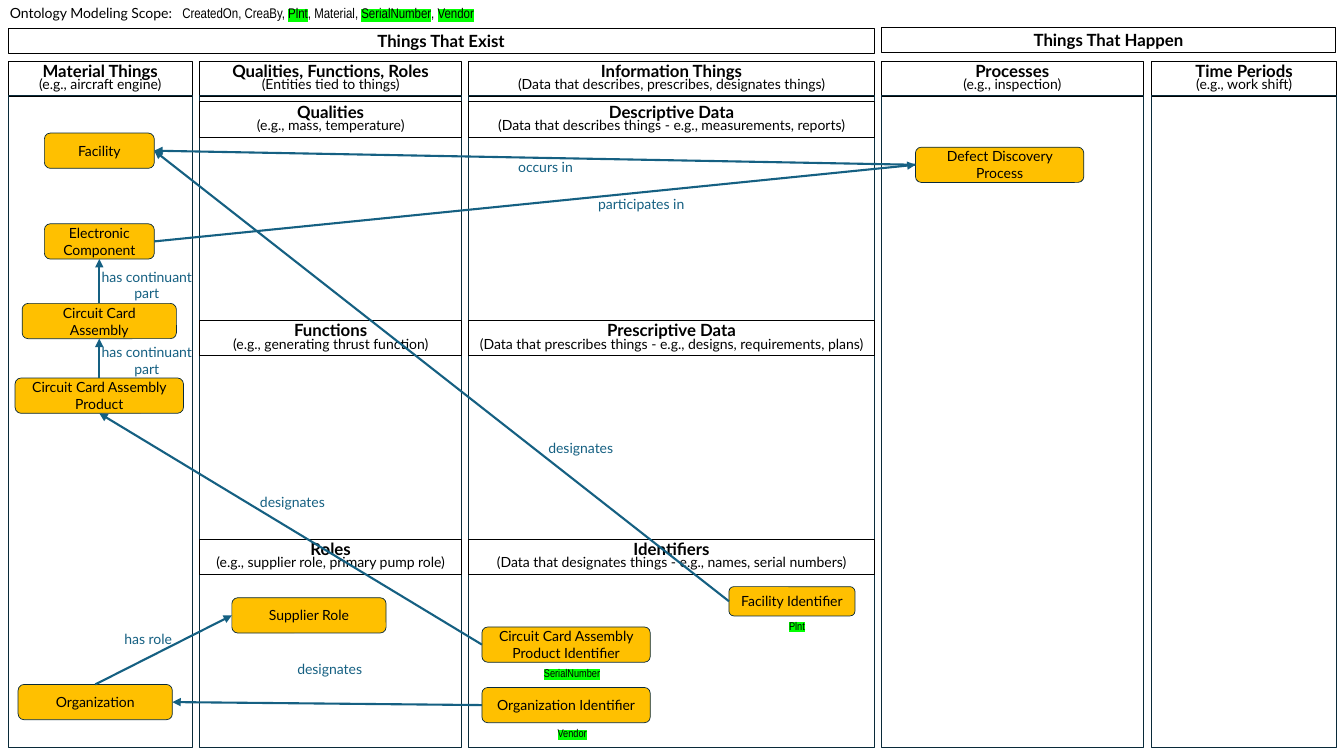
import pptx
import pptx.dml.color
import pptx.enum.shapes
import pptx.enum.text
import pptx.oxml
import pptx.oxml.ns
import pptx.util

Inches, Pt = pptx.util.Inches, pptx.util.Pt
RGBColor = pptx.dml.color.RGBColor
Shape = pptx.enum.shapes.MSO_SHAPE
Anchor = pptx.enum.text.MSO_ANCHOR
Align = pptx.enum.text.PP_ALIGN
AutoSize = pptx.enum.text.MSO_AUTO_SIZE

BLACK = RGBColor(0x00, 0x00, 0x00)
NAVY = RGBColor(0x09, 0x2A, 0x39)
TEAL = RGBColor(0x15, 0x60, 0x82)
AMBER = RGBColor(0xFF, 0xC0, 0x00)
GREEN = "00FF00"
NS = pptx.oxml.ns.nsdecls("a")

TOP, LEFT, BOTTOM, RIGHT = range(4)
HEADER_H = 0.35
BODY_TOP, BODY_H = 0.95, 6.47
SECTION_TOP, SECTION_STEP = 1.01, 2.17

BANNERS = [("Things That Exist", (0.08, 0.28, 8.59, 0.25)),
           ("Things That Happen", (8.74, 0.27, 4.51, 0.25))]

# left, width, title, subtitle, sections
COLUMNS = [
    (0.08, 1.83, "Material Things", "(e.g., aircraft engine)", []),
    (1.98, 2.6, "Qualities, Functions, Roles", "(Entities tied to things)", [
        ("Qualities", "(e.g., mass, temperature)"),
        ("Functions", "(e.g., generating thrust function)"),
        ("Roles", "(e.g., supplier role, primary pump role)")]),
    (4.65, 4.02, "Information Things",
     "(Data that describes, prescribes, designates things)", [
         ("Descriptive Data", "(Data that describes things - e.g., measurements, reports)"),
         ("Prescriptive Data",
          "(Data that prescribes things - e.g., designs, requirements, plans)"),
         ("Identifiers", "(Data that designates things - e.g., names, serial numbers)")]),
    (8.74, 2.6, "Processes", "(e.g., inspection)", []),
    (11.42, 1.84, "Time Periods", "(e.g., work shift)", []),
]

ENTITIES = {
    "Organization": (0.18, 6.79, 1.53, 0.35),
    "Supplier Role": (2.3, 5.93, 1.53, 0.35),
    "Organization Identifier": (4.78, 6.82, 1.67, 0.35),
    "Facility": (0.44, 1.32, 1.09, 0.35),
    "Circuit Card Assembly Product": (0.15, 3.75, 1.67, 0.35),
    "Circuit Card Assembly Product Identifier": (4.78, 6.22, 1.67, 0.35),
    "Defect Discovery Process": (9.08, 1.46, 1.67, 0.35),
    "Circuit Card Assembly": (0.22, 3.01, 1.53, 0.35),
    "Electronic Component": (0.44, 2.22, 1.09, 0.35),
    "Facility Identifier": (7.23, 5.82, 1.25, 0.29),
}

# source, side, target, side, label, label position
RELATIONS = [
    ("Organization Identifier", LEFT, "Organization", RIGHT,
     "designates", (2.82, 6.5, 0.9, 0.27)),
    ("Organization", TOP, "Supplier Role", LEFT, "has role", (1.02, 6.21, 0.9, 0.27)),
    ("Circuit Card Assembly Product Identifier", LEFT,
     "Circuit Card Assembly Product", BOTTOM, "designates", (2.45, 4.85, 0.9, 0.27)),
    ("Circuit Card Assembly Product", TOP, "Circuit Card Assembly", BOTTOM,
     "has continuant part", (0.9, 3.36, 1.11, 0.44)),
    ("Circuit Card Assembly", TOP, "Electronic Component", BOTTOM,
     "has continuant part", (0.9, 2.61, 1.11, 0.44)),
    ("Electronic Component", RIGHT, "Defect Discovery Process", LEFT,
     "participates in", (5.79, 1.89, 1.14, 0.27)),
    ("Defect Discovery Process", LEFT, "Facility", RIGHT,
     "occurs in", (4.84, 1.52, 1.14, 0.27)),
    ("Facility Identifier", LEFT, "Facility", RIGHT,
     "designates", (5.31, 4.31, 0.9, 0.27)),
]

FIELDS = [("SerialNumber", 5.04, 6.56), ("Vendor", 5.04, 7.16), ("Plnt", 7.27, 6.09)]
SCOPE = [("CreatedOn, CreaBy, ", None), ("Plnt", GREEN), (", Material, ", None),
         ("SerialNumber", GREEN), (", ", None), ("Vendor", GREEN)]


def assign(obj, values):
    for name, value in values.items():
        setattr(obj, name, value)


class Diagram:
    LABEL = {"name": "Lato", "size": Pt(10), "bold": False}
    TITLE = {"name": "Lato", "size": Pt(12), "bold": True}
    SCOPE = {"name": "Arial Narrow", "size": Pt(10)}
    FIELD = {"name": "Arial Narrow", "size": Pt(8)}

    def __init__(self, slide):
        self.shapes = slide.shapes

    def run(self, p, text, font, color=BLACK, highlight=None):
        r = p.add_run()
        r.text = text
        r.font.color.rgb = color
        if highlight:
            fill = r.font.fill._xPr.find(pptx.oxml.ns.qn("a:solidFill"))
            fill.addnext(pptx.oxml.parse_xml(
                f'<a:highlight {NS}><a:srgbClr val="{highlight}"/></a:highlight>'))
        assign(r.font, font)

    def box(self, at, kind=Shape.RECTANGLE, fill=None, line=BLACK, weight=0.75):
        sp = self.shapes.add_shape(kind, *map(Inches, at))
        sp.shadow.inherit = False
        if fill is None:
            sp.fill.background()
        else:
            sp.fill.solid()
            sp.fill.fore_color.rgb = fill
        sp.line.color.rgb = line
        sp.line.width = Pt(weight)
        return sp

    def header(self, at, title, subtitle=None, side_inset=0.1):
        tf = self.box(at).text_frame
        assign(tf, {"word_wrap": True, "vertical_anchor": Anchor.TOP,
                    "margin_left": Inches(side_inset), "margin_right": Inches(side_inset)})
        p = tf.paragraphs[0]
        assign(p, {"alignment": Align.CENTER, "line_spacing": 0.7 if subtitle else 0.9})
        self.run(p, title, self.TITLE)
        if subtitle:
            p.add_line_break()
            self.run(p, subtitle, self.LABEL)

    def entity(self, at, name):
        sp = self.box(at, Shape.ROUNDED_RECTANGLE, AMBER, NAVY, 0.5)
        assign(sp.text_frame, {"word_wrap": True, "vertical_anchor": Anchor.MIDDLE})
        p = sp.text_frame.paragraphs[0]
        p.alignment = Align.CENTER
        self.run(p, name, self.LABEL)
        return sp

    def text(self, at, runs, font, color=BLACK, align=Align.CENTER):
        """Add a text box; runs are (text, highlight) pairs."""
        tf = self.shapes.add_textbox(*map(Inches, at)).text_frame
        assign(tf, {"word_wrap": True, "auto_size": AutoSize.SHAPE_TO_FIT_TEXT})
        p = tf.paragraphs[0]
        p.alignment = align
        for text, highlight in runs:
            self.run(p, text, font, color, highlight)

    def arrow(self, source, source_side, target, target_side):
        cx = self.shapes.add_connector(pptx.enum.shapes.MSO_CONNECTOR.STRAIGHT, 0, 0, 0, 0)
        cx.begin_connect(source, source_side)
        cx.end_connect(target, target_side)
        cx.line.color.rgb = TEAL
        cx.line.width = Pt(1.5)
        cx.line._get_or_add_ln().append(
            pptx.oxml.parse_xml(f'<a:tailEnd {NS} type="triangle"/>'))
        cx._element.spPr.append(pptx.oxml.parse_xml(f"<a:effectLst {NS}/>"))


def main():
    prs = pptx.Presentation()
    prs.slide_width, prs.slide_height = Inches(13.33), Inches(7.5)
    d = Diagram(prs.slides.add_slide(prs.slide_layouts[6]))

    for title, at in BANNERS:
        d.header(at, title)
    for left, width, title, subtitle, sections in COLUMNS:
        d.header((left, 0.61, width, HEADER_H), title, subtitle)
        d.box((left, BODY_TOP, width, BODY_H), line=NAVY)
        for i, (name, note) in enumerate(sections):
            inset = 0 if name == "Prescriptive Data" else 0.1
            d.header((left, SECTION_TOP + i * SECTION_STEP, width, HEADER_H),
                     name, note, inset)

    d.text((0, 0, 1.83, 0.27), [("Ontology Modeling Scope:", None)], d.LABEL,
           align=Align.LEFT)
    d.text((1.71, 0, 6.67, 0.27), SCOPE, d.SCOPE, align=Align.LEFT)

    entities = {name: d.entity(at, name) for name, at in ENTITIES.items()}
    for source, source_side, target, target_side, label, at in RELATIONS:
        d.arrow(entities[source], source_side, entities[target], target_side)
        d.text(at, [(label, None)], d.LABEL, TEAL)
    for field, left, top in FIELDS:
        d.text((left, top, 1.27, 0.24), [(field, GREEN)], d.FIELD)

    prs.save("out.pptx")


if __name__ == "__main__":
    main()
